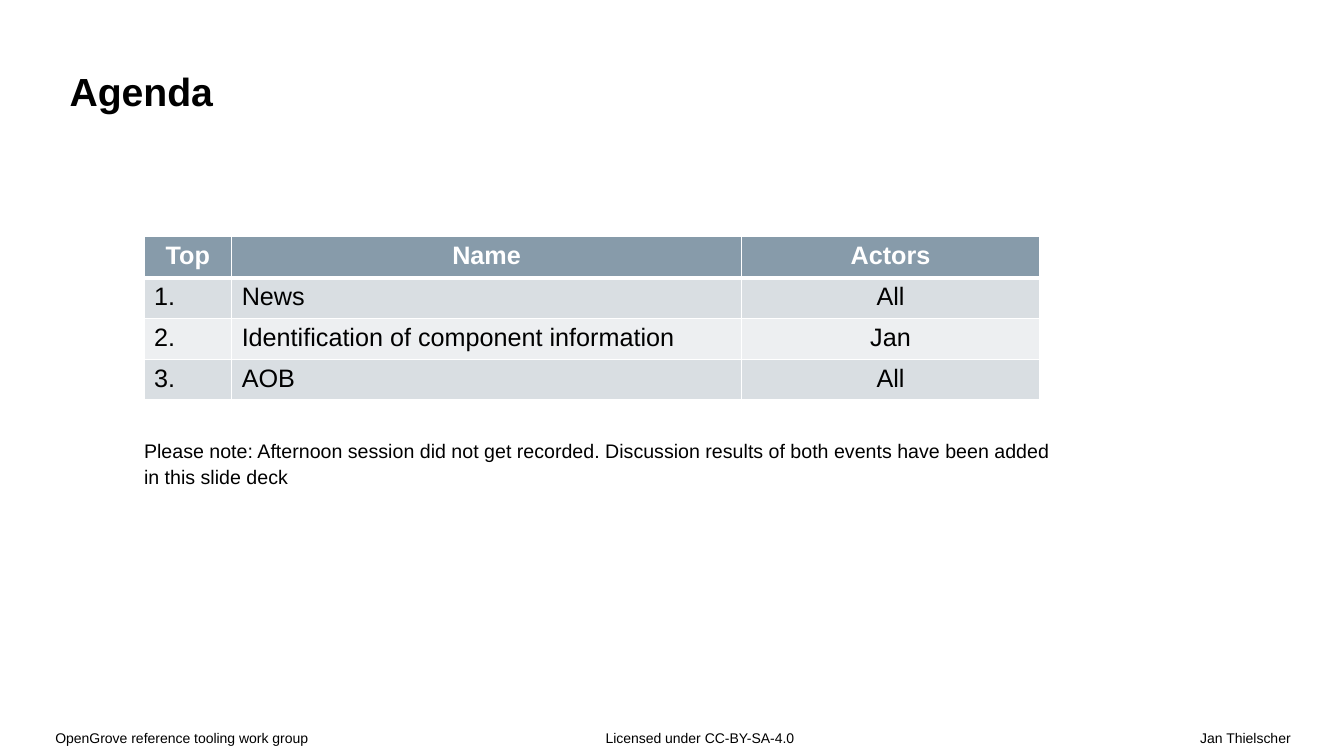
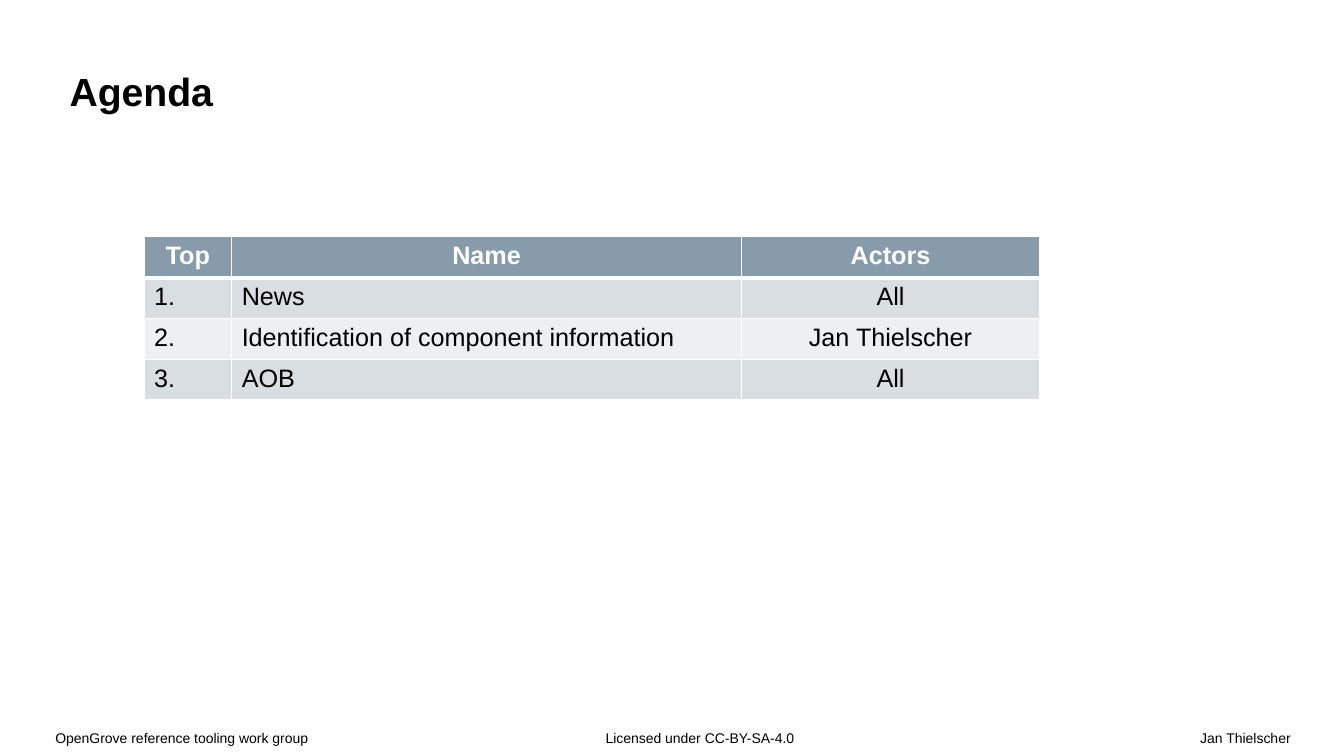
from dataclasses import dataclass

from lxml.etree import SubElement
from pptx import Presentation
from pptx.dml.color import RGBColor
from pptx.enum.text import MSO_ANCHOR as Anchor, MSO_AUTO_SIZE as AutoSize, PP_ALIGN as Align
from pptx.oxml.ns import qn
from pptx.util import Inches, Pt


@dataclass(frozen=True)
class Theme:
    font: str = "Arial"
    text: str = "000000"
    light: str = "FFFFFF"
    header: str = "879BAA"
    bands: tuple = ("D9DEE2", "EDEFF1")
    title_size: int = 28
    table_size: int = 18
    note_size: int = 14
    footer_size: int = 10
    line_spacing: float = 1.1
    rule: int = 1
    header_rule: int = 3


THEME = Theme()
SLIDE_SIZE = (13.34, 7.5)
TITLE_BOX = (0, 0, 13.34, 1.39)
TITLE_INSETS = (0.69, 0.43, 2.32, 0.26)
TABLE_LEFT, TABLE_TOP, ROW_HEIGHT = 1.43, 2.35, 0.405
COLUMN_WIDTHS = (0.87, 5.06, 2.96)
COLUMN_ALIGNS = (Align.LEFT, Align.LEFT, Align.CENTER)
NOTE_BOX = (TABLE_LEFT, 4.33, 9.2, 0.6)

# text, box, insets, alignment
FOOTERS = [
    ("OpenGrove reference tooling work group", (0.31, 7.22, 3.4, 0.28), (0.24, 0, 0, 0.13), Align.LEFT),
    ("Licensed under CC-BY-SA-4.0", (5.32, 7.22, 3.01, 0.28), (0.69, 0, 0, 0.13), Align.LEFT),
    ("Jan Thielscher", (4.14, 7.22, 9.2, 0.28), (0, 0, 0.53, 0.13), Align.RIGHT),
]
HEADINGS = ("Top", "Name", "Actors")
TOPICS = ("News", "Identification of component information", "AOB")
SLIDES = [
    {
        "title": "Agenda",
        "actors": ("All", "Jan", "All"),
        "note": (
            "Please note: Afternoon session did not get recorded. "
            "Discussion results of both events have been added",
            "in this slide deck",
        ),
    },
    {"title": "Agenda", "actors": ("All", "Jan Thielscher", "All"), "note": ()},
]


def add_span(para, text, size, color=THEME.text, bold=False):
    span = para.add_run()
    span.text = text
    span.font.name = THEME.font
    span.font.size = Pt(size)
    span.font.bold = bold
    span.font.color.rgb = RGBColor.from_string(color)


def set_insets(frame, insets):
    frame.margin_left, frame.margin_top, frame.margin_right, frame.margin_bottom = map(Inches, insets)


def add_title(page, text):
    title = page.shapes.title
    title.left, title.top, title.width, title.height = map(Inches, TITLE_BOX)
    frame = title.text_frame
    frame.auto_size = AutoSize.NONE
    frame.vertical_anchor = Anchor.BOTTOM
    set_insets(frame, TITLE_INSETS)
    para = frame.paragraphs[0]
    para.alignment = Align.LEFT
    add_span(para, text, THEME.title_size, bold=True)


def add_text(page, lines, place, size, insets=(0, 0, 0, 0), align=Align.LEFT):
    box = page.shapes.add_textbox(*map(Inches, place))
    frame = box.text_frame
    frame.word_wrap = True
    set_insets(frame, insets)
    para = frame.paragraphs[0]
    para.alignment = align
    para.line_spacing = THEME.line_spacing
    for index, line in enumerate(lines):
        if index:
            para.add_line_break()
        add_span(para, line, size)


def set_borders(cell, top, bottom):
    """Draw the four cell borders; must run before the cell fill is set."""
    properties = cell._tc.get_or_add_tcPr()
    for side, width in (("L", THEME.rule), ("R", THEME.rule), ("T", top), ("B", bottom)):
        line = SubElement(properties, qn(f"a:ln{side}"), w=str(Pt(width)))
        fill = SubElement(line, qn("a:solidFill"))
        SubElement(fill, qn("a:srgbClr"), val=THEME.light)


def add_agenda(page, actors):
    rows = [HEADINGS]
    rows += [(f"{number}.", *entry) for number, entry in enumerate(zip(TOPICS, actors), 1)]
    place = (TABLE_LEFT, TABLE_TOP, sum(COLUMN_WIDTHS), ROW_HEIGHT * len(rows))
    table = page.shapes.add_table(len(rows), len(HEADINGS), *map(Inches, place)).table
    for column, width in zip(table.columns, COLUMN_WIDTHS):
        column.width = Inches(width)
    for row_index, row in enumerate(rows):
        table.rows[row_index].height = Inches(ROW_HEIGHT)
        heading = row_index == 0
        fill = THEME.header if heading else THEME.bands[(row_index - 1) % 2]
        top = THEME.header_rule if row_index == 1 else THEME.rule
        bottom = THEME.header_rule if heading else THEME.rule
        for column_index, text in enumerate(row):
            cell = table.cell(row_index, column_index)
            set_borders(cell, top, bottom)
            cell.fill.solid()
            cell.fill.fore_color.rgb = RGBColor.from_string(fill)
            para = cell.text_frame.paragraphs[0]
            para.alignment = Align.CENTER if heading else COLUMN_ALIGNS[column_index]
            add_span(para, text, THEME.table_size, THEME.light if heading else THEME.text, heading)


def main():
    deck = Presentation()
    deck.slide_width, deck.slide_height = map(Inches, SLIDE_SIZE)
    title_only = deck.slide_layouts[5]
    for content in SLIDES:
        page = deck.slides.add_slide(title_only)
        for text, place, insets, align in FOOTERS:
            add_text(page, [text], place, THEME.footer_size, insets, align)
        add_title(page, content["title"])
        add_agenda(page, content["actors"])
        if content["note"]:
            add_text(page, content["note"], NOTE_BOX, THEME.note_size)
    deck.save("out.pptx")


if __name__ == "__main__":
    main()
